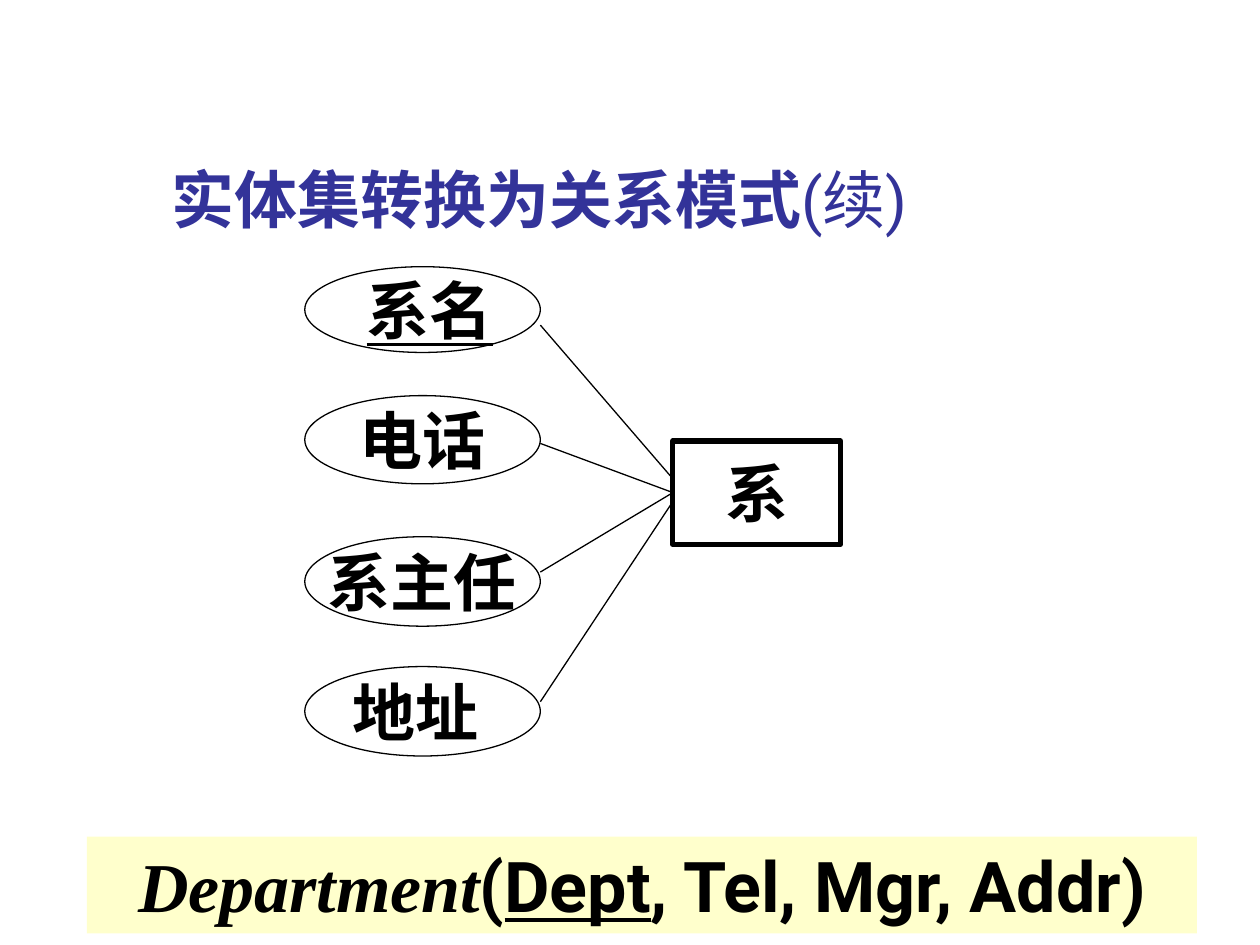
import pptx
import pptx.util
import pptx.dml.color
import pptx.enum.shapes
import pptx.enum.text
from dataclasses import dataclass
from lxml import etree

Pt = pptx.util.Pt
RGB = pptx.dml.color.RGBColor.from_string
Shape = pptx.enum.shapes.MSO_SHAPE
Anchor = pptx.enum.text.MSO_ANCHOR
Align = pptx.enum.text.PP_ALIGN


@dataclass(frozen=True)
class Theme:
    ink: str = "000000"
    title: str = "333399"
    band: str = "FFFFCC"
    sans: str = "Roboto"
    serif: str = "Times New Roman"
    body: int = 36
    large: int = 40
    thin: float = 0.75
    thick: float = 3


def write(para, text, font, size, color, bold=True, italic=False, under=False):
    """Add one formatted run to a paragraph."""
    run = para.add_run()
    run.text = text
    face = run.font
    face.name, face.size = font, Pt(size)
    face.bold, face.italic, face.underline = bold, italic, under
    face.color.rgb = RGB(color)


class Board:
    def __init__(self, slide, theme):
        self.slide = slide
        self.theme = theme

    def frame(self, shape, anchor, align, wrap=False):
        text = shape.text_frame
        text.word_wrap = wrap
        text.vertical_anchor = anchor
        para = text.paragraphs[0]
        para.alignment = align
        return para

    def title(self, left, top, width, height):
        box = self.slide.shapes.add_textbox(Pt(left), Pt(top), Pt(width), Pt(height))
        return self.frame(box, Anchor.BOTTOM, Align.LEFT, wrap=True)

    def shape(self, kind, left, top, width, height, fill=None, line=None,
              anchor=Anchor.MIDDLE):
        item = self.slide.shapes.add_shape(
            kind, Pt(left), Pt(top), Pt(width), Pt(height))
        item.shadow.inherit = False
        if fill:
            item.fill.solid()
            item.fill.fore_color.rgb = RGB(fill)
        else:
            item.fill.background()
        if line:
            item.line.width = Pt(line)
            item.line.color.rgb = RGB(self.theme.ink)
        else:
            item.line.fill.background()
        return item, self.frame(item, anchor, Align.CENTER)

    def link(self, x1, y1, x2, y2, goal=None):
        line = self.slide.shapes.add_connector(
            pptx.enum.shapes.MSO_CONNECTOR.STRAIGHT, Pt(x1), Pt(y1), Pt(x2), Pt(y2))
        line.line.width = Pt(self.theme.thin)
        line.line.color.rgb = RGB(self.theme.ink)
        props = line._element.spPr
        etree.SubElement(props, pptx.oxml.ns.qn("a:effectLst"))
        if goal is not None:
            line.end_connect(goal, 1)


def main():
    deck = pptx.Presentation()
    deck.slide_width, deck.slide_height = Pt(720), Pt(540)
    theme = Theme()
    board = Board(deck.slides.add_slide(deck.slide_layouts[6]), theme)

    # Title
    para = board.title(90.7, 48.2, 613.4, 90)
    for text, bold in (("实体集转换为关系模式", True), ("(续)", False)):
        write(para, text, theme.sans, theme.body, theme.title, bold=bold)

    # Relation schema
    _, para = board.shape(Shape.RECTANGLE, 49.7, 478.1, 634.3, 55.4,
                          fill=theme.band, anchor=Anchor.TOP)
    write(para, "Department", theme.serif, theme.large, theme.ink, italic=True)
    for text, under in (("(", False), ("Dept", True), (", Tel, Mgr, Addr)", False)):
        write(para, text, theme.sans, theme.large, theme.ink, under=under)

    # Entity set
    edge = 384.5
    entity, para = board.shape(Shape.RECTANGLE, edge, 252, 95.8, 59, line=theme.thick)
    write(para, "系", theme.serif, theme.body, theme.ink)

    # Attributes: runs with underline, top, height, link start and end (None = middle)
    left, width = 174.2, 134.6
    attrs = (
        (((" ", False), ("系名", True)), 152.4, 49, 185.8, 273.6),
        ((("电话", False),), 226.1, 50.4, 253.4, None),
        ((("系主任", False),), 306.7, 51.1, 326.9, None),
        ((("地址 ", False),), 380.9, 51.1, 401, 286.6),
    )
    for runs, top, height, start, end in attrs:
        _, para = board.shape(Shape.OVAL, left, top, width, height, line=theme.thin)
        for text, under in runs:
            write(para, text, theme.serif, theme.body, theme.ink, under=under)
        board.link(left + width, start, edge, end or 281.5,
                   goal=None if end else entity)

    deck.save("out.pptx")


if __name__ == "__main__":
    main()
